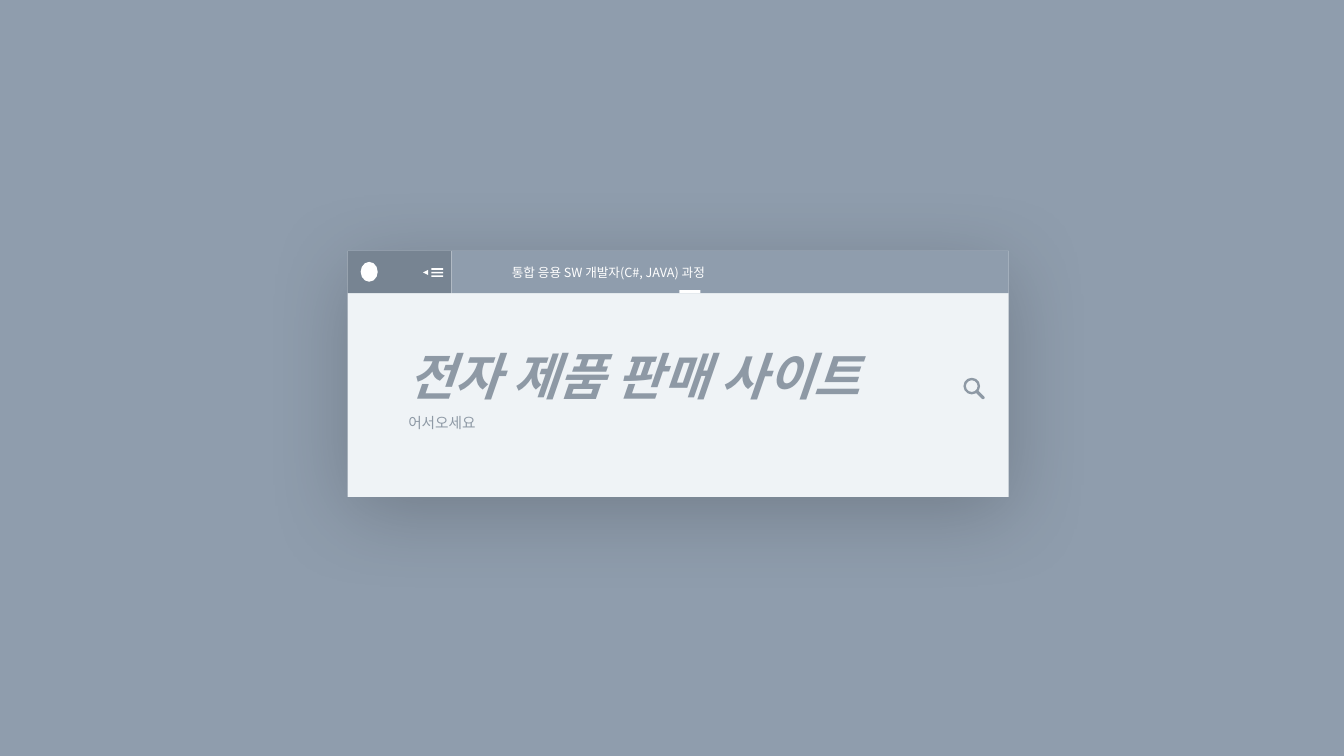
import pptx
import pptx.util
import pptx.dml.color
import pptx.enum.shapes
import pptx.enum.text
import pptx.oxml
import pptx.oxml.ns
import lxml.etree

Cm = pptx.util.Cm
Pt = pptx.util.Pt
SHAPE = pptx.enum.shapes.MSO_SHAPE
FONT = "Noto Sans CJK KR"
COLORS = {
    "backdrop": "8F9DAD",
    "card": "EFF3F6",
    "menu": "778492",
    "ink": "8E99A5",
    "white": "FFFFFF",
    "shadow": "000000",
}

deck = pptx.Presentation()
deck.slide_width, deck.slide_height = Cm(33.87), Cm(19.05)
slide = deck.slides.add_slide(deck.slide_layouts[0])
slide.background.fill.solid()
slide.background.fill.fore_color.rgb = pptx.dml.color.RGBColor.from_string(COLORS["backdrop"])


def add_block(kind, left, top, width, height, color):
    block = slide.shapes.add_shape(kind, Cm(left), Cm(top), Cm(width), Cm(height))
    block.shadow.inherit = False
    block.fill.solid()
    block.fill.fore_color.rgb = pptx.dml.color.RGBColor.from_string(COLORS[color])
    block.line.fill.background()
    return block


def write_line(holder, text, size, color, spacing=1.0, strong=False):
    frame = holder.text_frame
    frame.word_wrap = True
    frame.auto_size = pptx.enum.text.MSO_AUTO_SIZE.NONE
    frame.vertical_anchor = pptx.enum.text.MSO_ANCHOR.MIDDLE
    frame.margin_top = frame.margin_bottom = 0
    line = frame.paragraphs[0]
    line.alignment = pptx.enum.text.PP_ALIGN.LEFT
    line.line_spacing = spacing
    line.space_before = Pt(0)
    run = line.add_run()
    run.text = text
    run.font.name = FONT
    run.font.size = Pt(size)
    run.font.bold = run.font.italic = strong
    run.font.color.rgb = pptx.dml.color.RGBColor.from_string(COLORS[color])
    # East Asian typeface for the Korean letters
    korean = lxml.etree.SubElement(run.font._element, pptx.oxml.ns.qn("a:ea"))
    korean.set("typeface", FONT)


# Card with a soft shadow
card_left, card_top, card_width, card_height = 8.76, 6.32, 16.66, 6.2
bar_height, menu_width = 1.07, 2.62
card = add_block(SHAPE.RECTANGLE, card_left, card_top, card_width, card_height, "card")
effects = card._element.spPr.find(pptx.oxml.ns.qn("a:effectLst"))
effects.append(pptx.oxml.parse_xml(
    '<a:outerShdw xmlns:a="http://schemas.openxmlformats.org/drawingml/2006/main"'
    f' blurRad="{Pt(61)}" dist="{Pt(12)}" dir="5400000" algn="t" rotWithShape="0">'
    f'<a:srgbClr val="{COLORS["shadow"]}"><a:alpha val="20000"/></a:srgbClr></a:outerShdw>'))

# Menu corner: emblem, three bars and an arrow
add_block(SHAPE.RECTANGLE, card_left, card_top, menu_width, bar_height, "menu")
add_block(SHAPE.OVAL, 9.09, 6.6, 0.43, 0.5, "white")
for index in range(3):
    add_block(SHAPE.RECTANGLE, 10.87, 6.76 + 0.09 * index, 0.3, 0.04, "white")
menu_arrow = add_block(SHAPE.ISOSCELES_TRIANGLE, 10.66, 6.8, 0.13, 0.13, "white")
menu_arrow.rotation = 270

# Course bar with its marker
course = add_block(SHAPE.RECTANGLE, card_left + menu_width, card_top,
                   card_width - menu_width, bar_height, "backdrop")
course.text_frame.margin_left = Cm(1.52)
write_line(course, "통합 응용 SW 개발자(C#, JAVA) 과정", 9, "white")
add_block(SHAPE.RECTANGLE, 17.12, 7.31, 0.53, 0.08, "white")

# Search icon
lens = add_block(SHAPE.DONUT, 24.28, 9.52, 0.42, 0.42, "ink")
lens.adjustments[0] = 0.148
handle = add_block(SHAPE.ROUNDED_RECTANGLE, 24.66, 9.8, 0.08, 0.29, "ink")
handle.adjustments[0] = 0.5
handle.rotation = 315

# Title and greeting, brought in front of the card
title, greeting = slide.shapes.title, slide.placeholders[1]
for holder, top, height in ((title, 8.45, 2), (greeting, 10.24, 0.8)):
    holder.left, holder.top = Cm(10.29), Cm(top)
    holder.width, holder.height = Cm(13.6), Cm(height)
    holder.text_frame.margin_left = holder.text_frame.margin_right = 0
    slide.shapes._spTree.append(holder._element)
write_line(title, "전자 제품 판매 사이트", 36, "ink", strong=True)
write_line(greeting, "어서오세요", 10.5, "ink")

deck.save("out.pptx")
